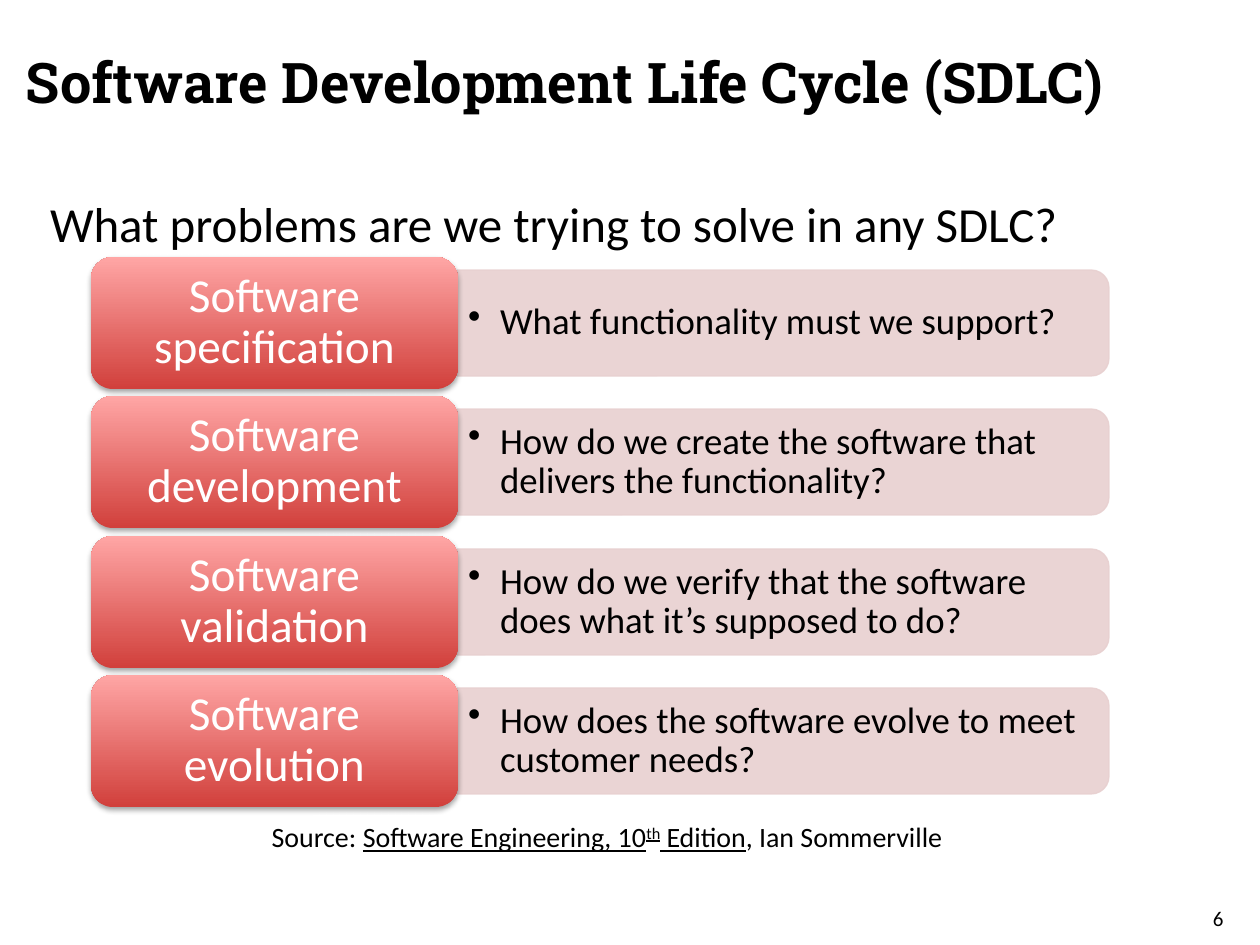
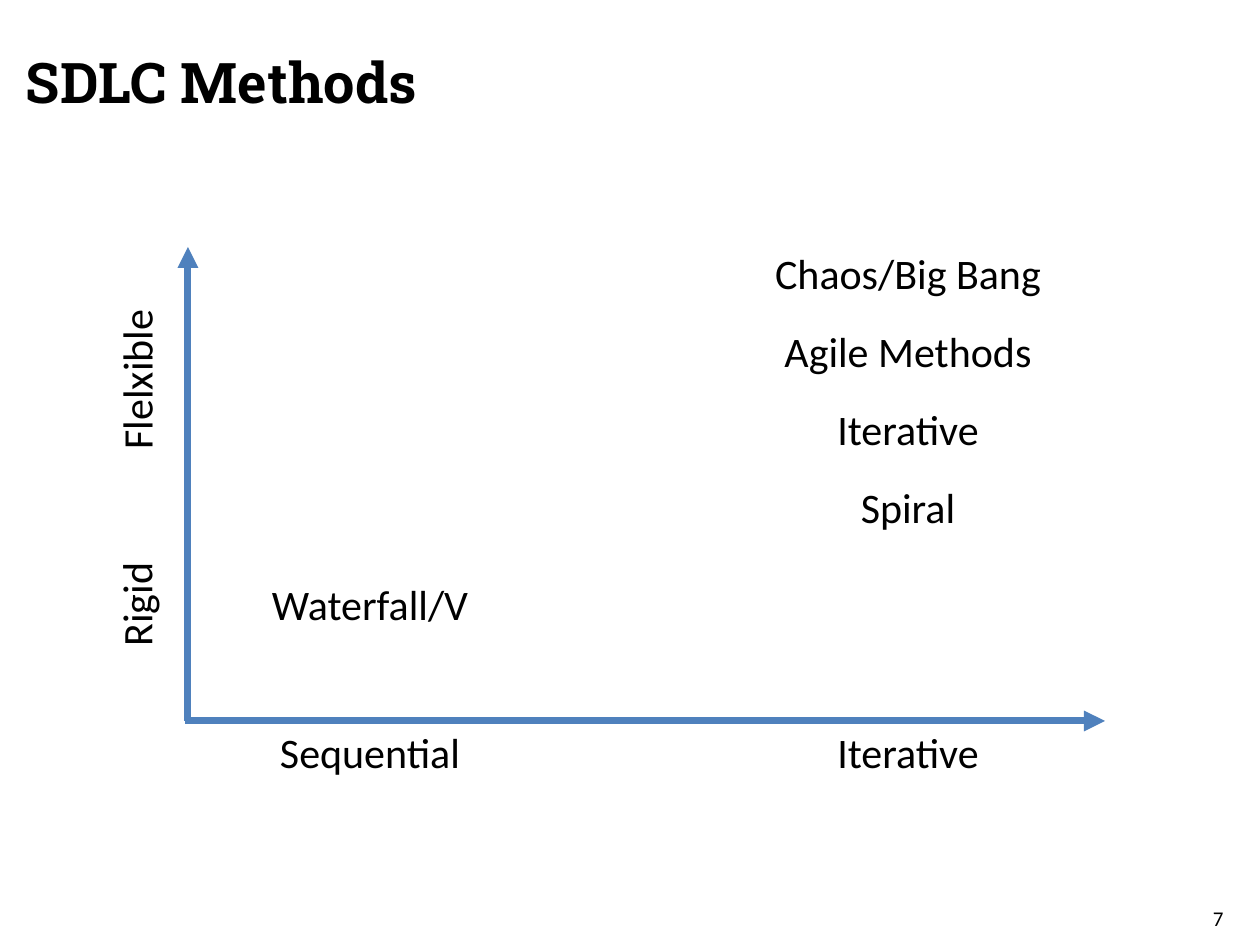
from lxml.etree import SubElement
from pptx import Presentation
from pptx.dml.color import RGBColor
from pptx.enum.shapes import MSO_CONNECTOR, MSO_SHAPE
from pptx.enum.text import MSO_ANCHOR, MSO_AUTO_SIZE, PP_ALIGN
from pptx.oxml.ns import qn
from pptx.util import Emu, Pt

LEFT, CENTER = PP_ALIGN.LEFT, PP_ALIGN.CENTER
TOP, MIDDLE = MSO_ANCHOR.TOP, MSO_ANCHOR.MIDDLE
NO_FIT = MSO_AUTO_SIZE.NONE
ROUND, BAND = MSO_SHAPE.ROUNDED_RECTANGLE, MSO_SHAPE.ROUND_2_SAME_RECTANGLE
STRAIGHT = MSO_CONNECTOR.STRAIGHT

BLACK = RGBColor(0x00, 0x00, 0x00)
WHITE = RGBColor(0xFF, 0xFF, 0xFF)
DARK_RED = RGBColor(0xD1, 0x40, 0x3C)
LIGHT_RED = RGBColor(0xFF, 0xA6, 0xA5)
PINK = RGBColor(0xE8, 0xD0, 0xD0)
BLUE = RGBColor(0x4F, 0x81, 0xBD)

BODY_FONT, TITLE_FONT = "Calibri", "Roboto Slab"
PX = 914400 / 126
FULL, TITLE_ONLY = 1, 5


def px(*vals):
    return [Emu(round(val * PX)) for val in vals]


def write(frame, text, size=24, color=BLACK, font=BODY_FONT, bold=False,
          align=LEFT, anchor=TOP, pad=(13, 6), line=None, after=None, bullet=None):
    """Fill a frame with a string, or with (text, underline, baseline) runs."""
    frame.word_wrap = True
    frame.auto_size = NO_FIT
    frame.vertical_anchor = anchor
    frame.margin_left = frame.margin_right = px(pad[0])[0]
    frame.margin_top = frame.margin_bottom = px(pad[1])[0]
    par = frame.paragraphs[0]
    props = par._p.get_or_add_pPr()
    hang = px(32)[0] if bullet else 0
    props.set("marL", str(hang))
    props.set("indent", str(-hang))
    if bullet:
        par.level = 1
        SubElement(props, qn("a:buChar"), char=bullet)
    else:
        SubElement(props, qn("a:buNone"))
    par.alignment = align
    par.space_before = Pt(0)
    if line:
        par.line_spacing = line
    if after:
        par.space_after = Pt(after)
    runs = [(text, False, 0)] if isinstance(text, str) else text
    for part, under, base in runs:
        run = par.add_run()
        run.text = part
        look = run.font
        look.name, look.size, look.bold = font, Pt(size), bold
        look.color.rgb = color
        if under:
            look.underline = True
        if base:
            run._r.get_or_add_rPr().set("baseline", str(base * 1000))


class Deck:
    def __init__(self):
        self.prs = Presentation()
        self.prs.slide_width, self.prs.slide_height = px(1260, 945)
        self.slide = None

    def start(self, title, number, layout):
        self.slide = self.prs.slides.add_slide(self.prs.slide_layouts[layout])
        self.place(self.slide.shapes.title, 13, 37, 1187, 89)
        write(self.slide.shapes.title.text_frame, title, size=32,
              font=TITLE_FONT, bold=True, anchor=MIDDLE)
        self.text(number, 1200, 900, 50, 30, size=12)

    def place(self, shape, *box):
        shape.left, shape.top, shape.width, shape.height = px(*box)

    def body(self, text, *box, **style):
        shape = self.slide.placeholders[1]
        self.place(shape, *box)
        write(shape.text_frame, text, **style)

    def text(self, text, *box, turn=0, **style):
        shape = self.slide.shapes.add_textbox(*px(*box))
        shape.rotation = turn
        write(shape.text_frame, text, **style)

    def label(self, text, mid, top, wide=232, turn=0):
        """Add text centred on the x position mid."""
        self.text(text, mid - wide / 2, top, wide, 63, turn=turn, align=CENTER)

    def band(self, left, top, wide, high):
        """Add a pale bar with its right corners rounded, by a quarter turn."""
        shift = (wide - high) / 2
        shape = self.slide.shapes.add_shape(
            BAND, *px(left + shift, top - shift, high, wide))
        shape.rotation = 90
        shape.shadow.inherit = False
        shape.fill.solid()
        shape.fill.fore_color.rgb = PINK
        shape.line.color.rgb = PINK
        shape.line.width = Pt(0.75)
        for tint in shape._element.spPr.iter(qn("a:srgbClr")):
            SubElement(tint, qn("a:alpha"), val="90000")

    def tile(self, text, *box):
        shape = self.slide.shapes.add_shape(ROUND, *px(*box))
        shape.fill.gradient()
        shape.fill.gradient_angle = 90
        for stop, color in zip(shape.fill.gradient_stops, (DARK_RED, LIGHT_RED)):
            stop.color.rgb = color
        shape.line.fill.background()
        shape.shadow.inherit = False
        effects = shape._element.spPr.find(qn("a:effectLst"))
        shade = SubElement(effects, qn("a:outerShdw"), blurRad=str(Pt(3.1)),
                           dist=str(Pt(1.8)), dir="5400000", rotWithShape="0")
        tint = SubElement(shade, qn("a:srgbClr"), val=str(BLACK))
        SubElement(tint, qn("a:alpha"), val="35000")
        write(shape.text_frame, text, size=27, color=WHITE, align=CENTER,
              anchor=MIDDLE, pad=(20, 14), line=0.9)

    def arrow(self, *ends):
        line = self.slide.shapes.add_connector(STRAIGHT, *px(*ends))
        line.line.color.rgb = BLUE
        line.line.width = Pt(4)
        SubElement(line.line._get_or_add_ln(), qn("a:tailEnd"), type="triangle")
        SubElement(line._element.spPr, qn("a:effectLst"))


def add_cycle(deck):
    deck.start("Software Development Life Cycle (SDLC)", "6", FULL)
    deck.body("What problems are we trying to solve in any SDLC?",
              37, 187, 1188, 621, size=28, after=12)
    steps = [
        ("Software specification", "What functionality must we support?"),
        ("Software development",
         "How do we create the software that delivers the functionality?"),
        ("Software validation",
         "How do we verify that the software does what it’s supposed to do?"),
        ("Software evolution",
         "How does the software evolve to meet customer needs?"),
    ]
    for i, (name, goal) in enumerate(steps):
        top = 257 + i * 279 // 2
        deck.band(457, top + 13, 652, 106)
        deck.text(goal, 457, top + 18, 646, 96, size=21, anchor=MIDDLE,
                  pad=(11, 5), line=0.9, bullet="•")
        deck.tile(name, 91, top, 367, 132)
    source = [("Source: ", False, 0), ("Software Engineering, 10", True, 0),
              ("th", True, 30), (" Edition", True, 0),
              (", Ian Sommerville", False, 0)]
    deck.text(source, 105, 814, 1004, 47, size=16, align=CENTER)


def add_methods(deck):
    deck.start("SDLC Methods", "7", TITLE_ONLY)
    first, last, side = 370, 908, 136
    deck.label("Rigid", side, 573, wide=151, turn=270)
    deck.label("Flelxible", side, 348, wide=185, turn=270)
    deck.label("Sequential", first, 721)
    deck.label("Iterative", last, 721)
    deck.label("Waterfall/V", first, 573)
    names = ["Chaos/Big Bang", "Agile Methods", "Iterative", "Spiral"]
    for i, name in enumerate(names):
        deck.label(name, last, 242 + 78 * i, wide=295)
    deck.arrow(188, 721, 188, 247)
    deck.arrow(185, 721, 1105, 721)


def main():
    deck = Deck()
    add_cycle(deck)
    add_methods(deck)
    deck.prs.save("out.pptx")


if __name__ == "__main__":
    main()
